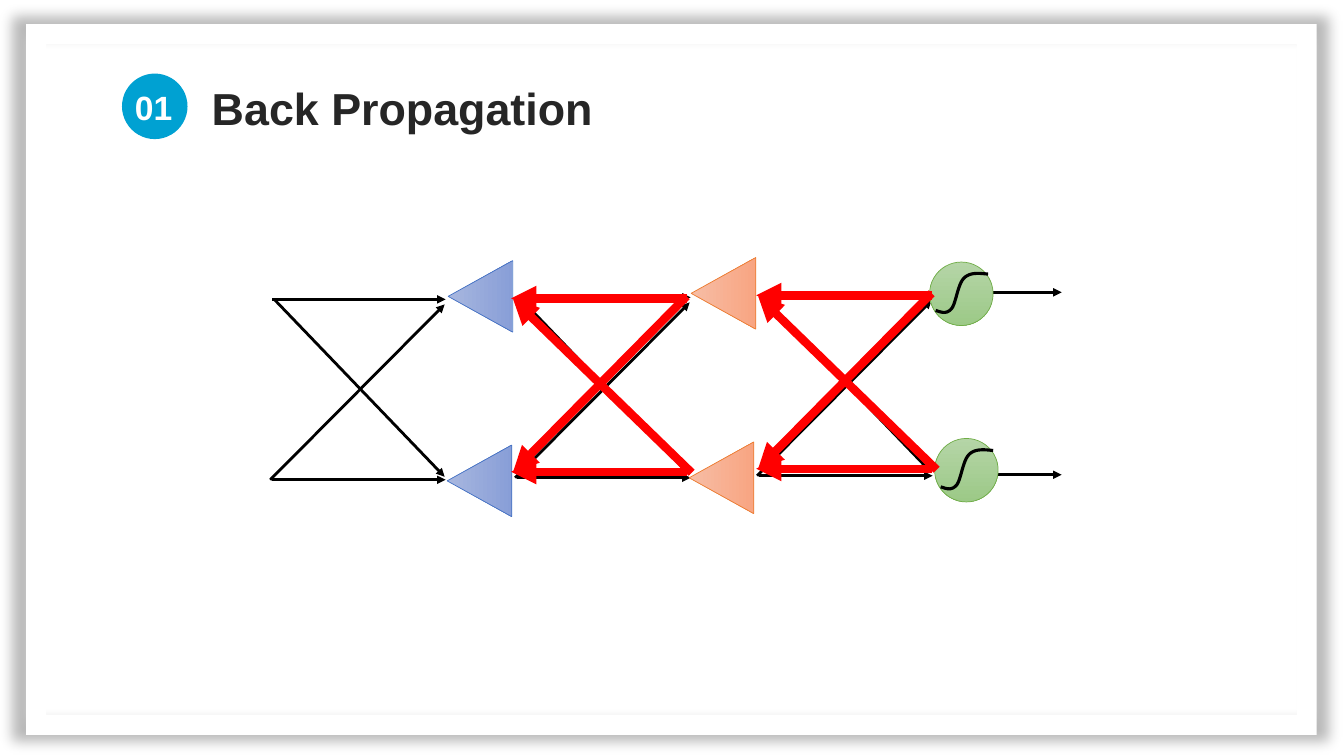
import pptx
import pptx.util
import pptx.dml.color
import pptx.enum.shapes
import pptx.enum.text
import pptx.oxml
import pptx.oxml.ns

SHAPE = pptx.enum.shapes.MSO_SHAPE
DRAWING = pptx.oxml.ns.nsdecls("a")


def rgb(value):
    return pptx.dml.color.RGBColor.from_string(value)


def px(value):
    return pptx.util.Emu(round(value * 9144))


class Slide:
    font = "Arial"

    def __init__(self, prs):
        self.s = prs.slides.add_slide(prs.slide_layouts[5])

    def place(self, sp, box):
        sp.left, sp.top, sp.width, sp.height = map(px, box)

    def set_text(self, sp, text, size, color, spacing=1.0):
        tf = sp.text_frame
        tf.text = text
        tf.vertical_anchor = pptx.enum.text.MSO_ANCHOR.TOP
        p = tf.paragraphs[0]
        p.alignment = pptx.enum.text.PP_ALIGN.LEFT
        p.line_spacing = spacing
        font = p.runs[0].font
        font.name, font.size, font.bold = self.font, pptx.util.Pt(size), True
        font.color.rgb = rgb(color)

    def title(self, box, text, size, color):
        sp = self.s.shapes.title
        self.place(sp, box)
        self.set_text(sp, text, size, color, 1.2)
        sp.text_frame.auto_size = pptx.enum.text.MSO_AUTO_SIZE.NONE

    def text(self, box, text, size, color):
        sp = self.s.shapes.add_textbox(*map(px, box))
        self.set_text(sp, text, size, color)
        sp.text_frame.word_wrap = True

    def shape(self, kind, box, fill, line=None, rotation=0):
        sp = self.s.shapes.add_shape(kind, *map(px, box))
        sp.shadow.inherit = False
        sp.rotation = rotation
        if isinstance(fill, str):
            sp.fill.solid()
            sp.fill.fore_color.rgb = rgb(fill)
        else:
            sp.fill.gradient()
            sp.fill.gradient_angle = 270
            for stop, color in zip(sp.fill.gradient_stops, fill):
                stop.color.rgb = rgb(color)
        if line:
            sp.line.color.rgb = rgb(line)
            sp.line.width = pptx.util.Pt(0.5)
        else:
            sp.line.fill.background()
        return sp

    def frame(self, box, thickness):
        sp = self.shape(SHAPE.FRAME, box, "FFFFFF")
        sp.adjustments[0] = thickness
        effects = sp._element.spPr.find(pptx.oxml.ns.qn("a:effectLst"))
        effects.append(pptx.oxml.parse_xml(
            f'<a:outerShdw {DRAWING} blurRad="{pptx.util.Pt(9)}" sx="102000" sy="102000" '
            'algn="ctr" rotWithShape="0"><a:srgbClr val="000000">'
            '<a:alpha val="27000"/></a:srgbClr></a:outerShdw>'))

    def arrow(self, ends, color, width, parent=None):
        shapes = (parent or self.s).shapes
        kind = pptx.enum.shapes.MSO_CONNECTOR.STRAIGHT
        c = shapes.add_connector(kind, *map(px, ends))
        c.line.color.rgb = rgb(color)
        c.line.width = pptx.util.Pt(width)
        c.line._get_or_add_ln().append(
            pptx.oxml.parse_xml(f'<a:tailEnd {DRAWING} type="triangle"/>'))
        c._element.spPr.append(pptx.oxml.parse_xml(f"<a:effectLst {DRAWING}/>"))

    def mesh(self, x, y, links, color, width, parent=None):
        for x1, y1, x2, y2 in links:
            self.arrow((x + x1, y + y1, x + x2, y + y2), color, width, parent)

    def curve(self, x, y, beziers, width):
        points = [(px(x + beziers[0][0][0]), px(y + beziers[0][0][1]))]
        for bezier in beziers:
            for step in range(1, 13):
                t = step / 12
                weights = ((1 - t) ** 3, 3 * t * (1 - t) ** 2, 3 * t * t * (1 - t), t ** 3)
                dx, dy = (sum(w * v for w, v in zip(weights, axis)) for axis in zip(*bezier))
                points.append((px(x + dx), px(y + dy)))
        builder = self.s.shapes.build_freeform(*points[0])
        builder.add_line_segments(points[1:], close=False)
        sp = builder.convert_to_shape()
        sp.shadow.inherit = False
        sp.fill.background()
        sp.line.color.rgb = rgb("000000")
        sp.line.width = pptx.util.Pt(width)


FORWARD = [(-2, 179, 171, 5), (2, 0, 171, 176), (0, 179, 172, 179), (0, 0, 172, 0)]
BACKWARD = [(174, 0, 0, 0), (179, 173, 2, 1), (174, 172, 0, 172), (174, -2, 2, 172)]
SIGMOID = [
    ((52, 1), (43, 0), (34, -1), (28, 5)),
    ((28, 5), (22, 11), (20, 30), (16, 35)),
    ((16, 35), (11, 41), (6, 39), (0, 37)),
]
BLUE = (("A8B7DF", "889ED7"), "4472C4")
ORANGE = (("F7BDA5", "F8A582"), "ED7D31")
GREEN = (("B5D5A7", "9CC987"), "70AD47")


def main():
    prs = pptx.Presentation()
    prs.slide_width, prs.slide_height = px(1333), px(750)
    s = Slide(prs)
    s.frame((26, 24, 1280, 705), 0.028)
    s.title((200, 64, 414, 75), "Back Propagation", 32, "262626")
    s.shape(SHAPE.OVAL, (121, 73, 65, 65), "00A1D2")
    s.text((124, 81, 62, 50), "01", 24, "FFFFFF")

    for x, y in ((270, 297), (513, 295), (753, 293)):
        s.mesh(x, y, FORWARD, "000000", 2, s.s.shapes.add_group_shape())
    for x, y, style in ((440, 445, BLUE), (441, 262, BLUE), (680, 442, ORANGE), (682, 259, ORANGE)):
        s.shape(SHAPE.FLOWCHART_EXTRACT, (x, y, 71, 64), *style, rotation=270)
    for y in (471, 290):
        s.arrow((981, y, 1053, y), "000000", 2)

    outputs = ((922, 260), (927, 435))
    for x, y in outputs:
        s.shape(SHAPE.OVAL, (x, y, 63, 63), *GREEN)
    for x, y in outputs:
        s.curve(x + 6, y + 11, SIGMOID, 2.25)
    for x, y in ((750, 293), (507, 296)):
        s.mesh(x, y, BACKWARD, "FF0000", 6)
    prs.save("out.pptx")


if __name__ == "__main__":
    main()
